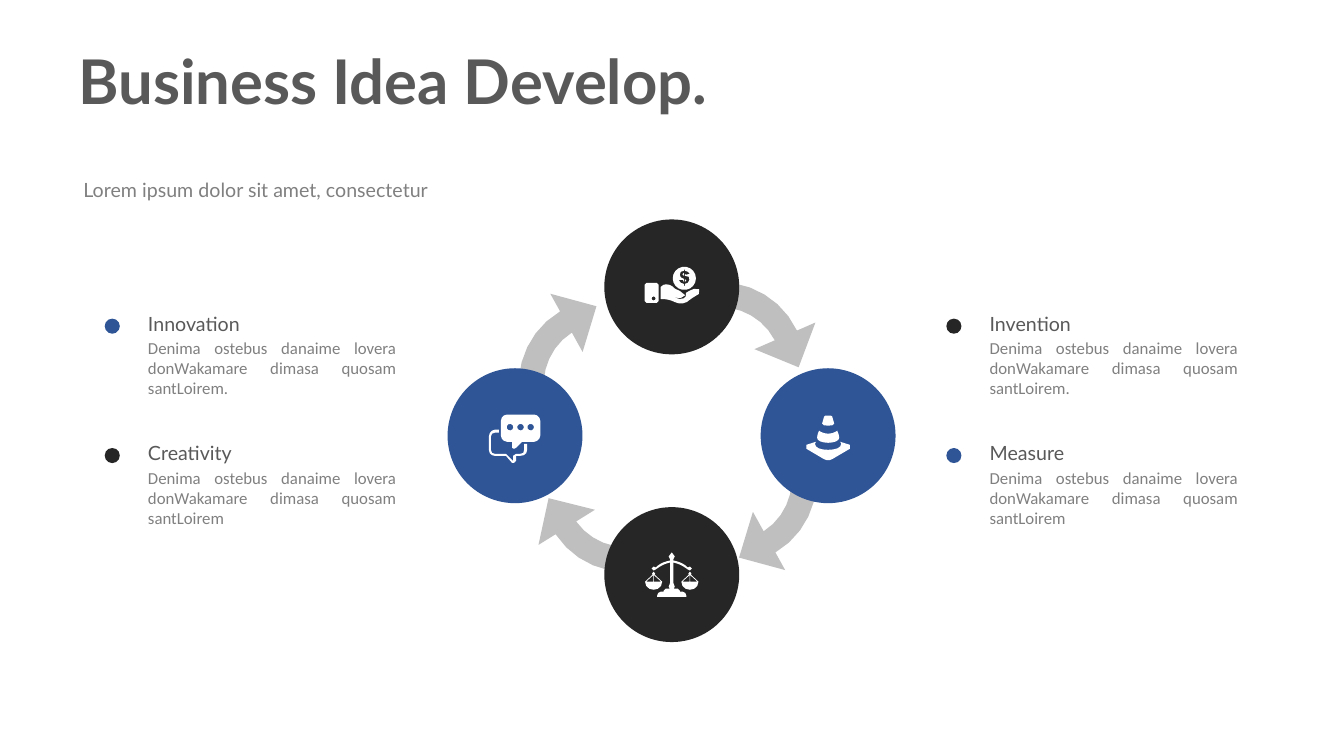
from dataclasses import dataclass

from math import ceil, cos, dist, pi, sin

from pptx import Presentation
from pptx.dml.color import RGBColor
from pptx.enum.shapes import MSO_SHAPE
from pptx.enum.text import MSO_AUTO_SIZE, PP_ALIGN
from pptx.util import Cm, Pt

BLUE = RGBColor(0x2F, 0x55, 0x97)
BLACK = RGBColor(0x26, 0x26, 0x26)
SILVER = RGBColor(0xBF, 0xBF, 0xBF)
WHITE = RGBColor(0xFF, 0xFF, 0xFF)
HEADING = RGBColor(0x59, 0x59, 0x59)
BODY = RGBColor(0x80, 0x80, 0x80)

UNIT = Cm(2.54) / 100  # outlines are drawn in hundredths of an inch
DISC = 3.4
DOT = 0.38
BLURB = "Denima ostebus danaime lovera donWakamare dimasa quosam santLoirem"

TITLE_FONT = {"name": "Lato", "size": Pt(44), "bold": True}
HEADING_FONT = {"name": "Lato", "size": Pt(14)}
BODY_FONT = {"name": "Calibri", "size": Pt(12)}

Points = list[tuple[float, ...]]


# Outline helpers: a pair is a corner, six numbers are a Bezier curve
def flatten(outline: Points) -> Points:
    points = []
    for step in outline:
        if len(step) == 2:
            points.append(step)
            continue
        x0, y0 = points[-1]
        x1, y1, x2, y2, x3, y3 = step
        count = max(1, min(8, ceil(dist((x0, y0), (x3, y3)) / 4)))
        for i in range(1, count + 1):
            t = i / count
            a, b, c, d = (1 - t) ** 3, 3 * t * (1 - t) ** 2, 3 * t * t * (1 - t), t ** 3
            points.append((a * x0 + b * x1 + c * x2 + d * x3,
                           a * y0 + b * y1 + c * y2 + d * y3))
    return points


def mirrored(half: Points) -> Points:
    right = flatten(half)
    return right + [(-x, y) for x, y in reversed(right) if x]


def ring(cx: float, cy: float, radius: float) -> Points:
    count = round(6 + radius)
    angles = [2 * pi * i / count for i in range(count)]
    return [(cx + radius * cos(a), cy + radius * sin(a)) for a in angles]


def pan(cx: float) -> list[Points]:
    bowl = mirrored([(0, -3), (1.5, -1), (1, 0), (8.5, 7), (8.5, 12, 4.5, 15, 0, 15)])
    gaps = [[(side * x, y) for x, y in ((0.3, 7), (7.5, 7), (0.3, 0.5))] for side in (-1, 1)]
    return [[(cx + x, y) for x, y in contour] for contour in (bowl, *gaps)]


# Arrow and icon outlines; later contours of a piece cut holes
ARROW = [(85, 82), (84, 37, 46, 0, 0, 0), (0, 25), (32, 25, 59, 50, 61, 82),
         (39, 82), (72, 116), (105, 82)]

CHAT = [
    [[(19, -21), (-8, -21), (-11, -21, -14, -18, -14, -15), (-14, 0),
      (-14, 3, -11, 6, -8, 6), (-3, 6), (-3, 12), (-1, 13), (1, 12), (7, 6),
      (19, 6), (22, 6, 25, 3, 25, 0), (25, -15), (25, -18, 22, -21, 19, -21)],
     *[ring(x, -8.5, 3.3) for x in (-5, 5.5, 15.5)]],
    [[(9, 14), (9, 17, 8, 18, 5, 18), (1, 18), (-2, 20), (-2, 25),
      (-8, 19), (-9, 18), (-20, 18), (-22, 18, -24, 17, -24, 14), (-24, 1),
      (-24, -2, -22, -3, -20, -3), (-16, -3), (-16, -6), (-20, -6),
      (-23, -6, -26, -3, -26, 1), (-26, 14), (-26, 18, -23, 20, -20, 20), (-9, 20),
      (-3, 27), (-1, 27), (1, 25), (1, 20), (5, 20), (9, 20, 12, 18, 12, 14),
      (12, 8), (9, 8)]],
]

SCALES = [
    pan(-18),
    pan(18),
    [mirrored([(0, -22), (3, -18), (1.5, -15), (1.5, -14), (7, -13, 12, -11, 16, -7),
               (18, -8), (20, -6), (18, -4), (16, -5), (12, -8, 7, -11, 1.5, -12),
               (1.5, 8), (3, 12), (2, 14), (6, 14), (8, 16), (8, 17), (11, 17),
               (13, 17, 14.5, 19, 14.5, 21), (14.5, 22)])],
]

HAND = [
    [[(-15, -4), (-13, -2), (-13, 14), (-15, 16), (-25, 16), (-27, 14), (-27, -2),
      (-25, -4)],
     ring(-18, 11.5, 2)],
    [[(-11, 12), (-11, 0), (-8, -3, -6, -3, -2, -2), (2, -1, 1, 2, 8, 4),
      (16, 6, 14, 11, 9, 11), (6, 11, 4, 11, 1, 9), (3, 10, 5, 12, 8, 12),
      (13, 12, 15, 10, 14, 6), (17, 4, 19, 3, 22, 2), (26, 0, 30, 3, 27, 7),
      (25, 8, 17, 13, 15, 15), (11, 17, 7, 17, 3, 15), (-1, 13, -5, 12, -11, 12)]],
    [ring(12.5, -8.5, 11.5),
     [(16, -4), (13, -3), (13, -1), (12, -1), (12, -3), (9, -4), (7, -7), (11, -7),
      (12, -5), (12, -8), (9, -9.5), (8, -12), (9, -15), (12, -16), (12, -17), (13, -17),
      (13, -16), (16, -15), (18, -13), (14, -12), (13, -13), (13, -11), (17, -10),
      (17.5, -7)],
     [(13, -8), (13, -5), (14.5, -6)],
     [(12, -14), (10.5, -12.5), (12, -11)]],
]

CONE = [[mirrored(half)] for half in (
    [(0, 14), (7.5, 14, 13, 12, 13, 8), (12, 6), (21.5, 9), (24, 10, 24, 12, 21.5, 13),
     (4.5, 23), (3, 24, 1, 24.3, 0, 24.3)],
    [(0, -20), (2, -20, 4, -20, 4, -19), (6, -12), (6, -10, 3, -10, 0, -10)],
    [(0, -2), (4, -2, 8, -4, 9, -5), (10, -3, 11, 0, 11, 2), (11, 5, 6, 7, 0, 7)],
)]


@dataclass
class Arrow:
    left: float
    top: float
    rotation: float


@dataclass
class Stage:
    x: float
    y: float
    color: RGBColor
    icon: list[list[Points]]


@dataclass
class Entry:
    heading: str
    body: str
    column: int
    row: int
    color: RGBColor


ARROWS = [Arrow(12.65, 7.39, 241), Arrow(13.69, 12.07, 148.1),
          Arrow(18.34, 11.43, 61), Arrow(17.75, 6.63, 336.4)]
STAGES = [Stage(12.98, 10.98, BLUE, CHAT), Stage(16.93, 14.48, BLACK, SCALES),
          Stage(16.93, 7.23, BLACK, HAND), Stage(20.87, 10.98, BLUE, CONE)]
ENTRIES = [Entry("Innovation", BLURB + ".", 0, 0, BLUE), Entry("Creativity", BLURB, 0, 1, BLACK),
           Entry("Invention", BLURB + ".", 1, 0, BLACK), Entry("Measure", BLURB, 1, 1, BLUE)]


def paint(sp, color: RGBColor) -> None:
    sp.shadow.inherit = False
    sp.fill.solid()
    sp.fill.fore_color.rgb = color
    sp.line.fill.background()


def add_disc(s, left: float, top: float, size: float, color: RGBColor) -> None:
    paint(s.shapes.add_shape(MSO_SHAPE.OVAL, Cm(left), Cm(top), Cm(size), Cm(size)), color)


def add_outline(s, contours: list[Points], x: float, y: float, color: RGBColor,
                rotation: float = 0) -> None:
    drawn = [[(px * UNIT, py * UNIT) for px, py in flatten(c)] for c in contours]
    builder = s.shapes.build_freeform(*drawn[0][0])
    for i, points in enumerate(drawn):
        if i:
            builder.move_to(*points[0])
        builder.add_line_segments(points[1:], close=True)
    sp = builder.convert_to_shape(Cm(x), Cm(y))
    sp.rotation = rotation
    paint(sp, color)


def add_text(s, text: str, box: tuple[float, ...], font: dict, color: RGBColor,
             **layout) -> None:
    tf = s.shapes.add_textbox(*map(Cm, box)).text_frame
    tf.word_wrap = True
    tf.auto_size = MSO_AUTO_SIZE.SHAPE_TO_FIT_TEXT
    p = tf.paragraphs[0]
    r = p.add_run()
    r.text = text
    for target, values in ((p, layout), (r.font, font)):
        for key, value in values.items():
            setattr(target, key, value)
    r.font.color.rgb = color


def add_entry(s, entry: Entry) -> None:
    left, top = 2.64 + 21.21 * entry.column, 8.03 + 3.26 * entry.row
    add_disc(s, left, top, DOT, entry.color)
    add_text(s, entry.heading, (left + 0.84, top - 0.3, 5.5, 0.86), HEADING_FONT, HEADING)
    add_text(s, entry.body, (left + 0.84, top + 0.36, 6.76, 1.8), BODY_FONT, BODY,
             alignment=PP_ALIGN.JUSTIFY)


def main() -> None:
    prs = Presentation()
    prs.slide_width, prs.slide_height = Cm(33.87), Cm(19.05)
    s = prs.slides.add_slide(prs.slide_layouts[6])

    # Title, subtitle and legend
    add_text(s, "Business Idea Develop.", (1.73, 1.4, 18.54, 1.68), TITLE_FONT, HEADING,
             line_spacing=Pt(40))
    add_text(s, "Lorem ipsum dolor sit amet, consectetur", (1.85, 4.37, 10.8, 1.45),
             HEADING_FONT, BODY)
    for entry in ENTRIES:
        add_entry(s, entry)

    # Cycle of arrows and stages
    for arrow in ARROWS:
        add_outline(s, [ARROW], arrow.left, arrow.top, SILVER, arrow.rotation)
    for stage in STAGES:
        add_disc(s, stage.x - DISC / 2, stage.y - DISC / 2, DISC, stage.color)
        for piece in stage.icon:
            add_outline(s, piece, stage.x, stage.y, WHITE)

    prs.save("out.pptx")


if __name__ == "__main__":
    main()
